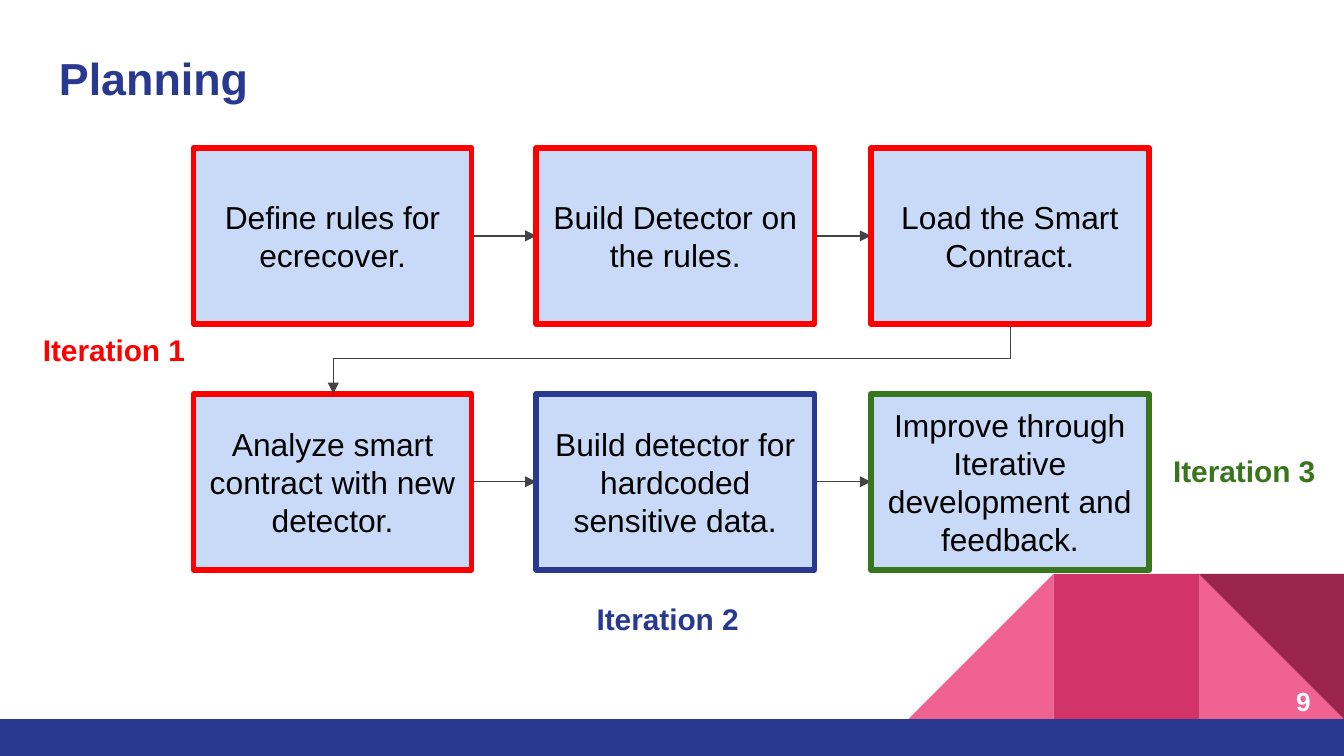
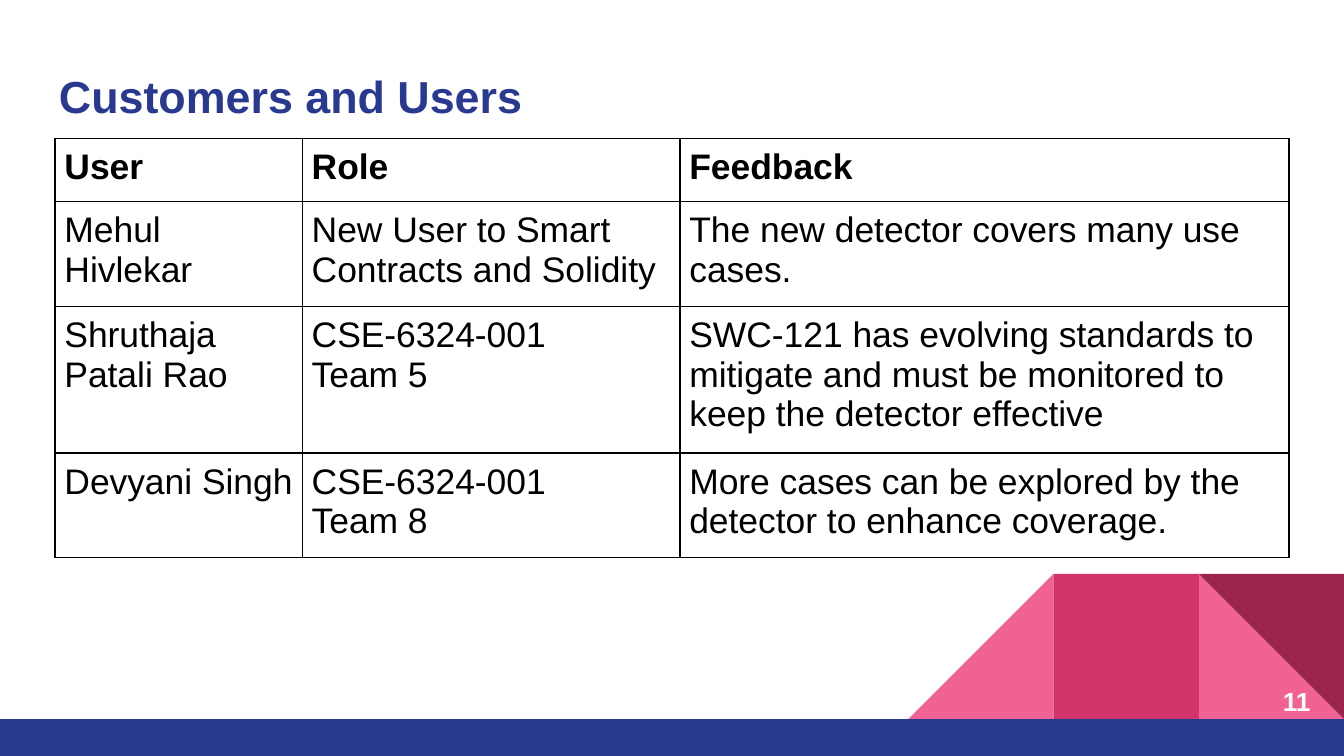
"""Build two slides: a planning flow chart and a customer feedback table."""
from dataclasses import dataclass

from lxml import etree
from pptx import Presentation
from pptx.dml.color import RGBColor
from pptx.enum.shapes import MSO_CONNECTOR, MSO_SHAPE
from pptx.enum.text import MSO_ANCHOR, PP_ALIGN
from pptx.oxml.ns import qn
from pptx.util import Inches, Pt

STRAIGHT, ELBOW = MSO_CONNECTOR.STRAIGHT, MSO_CONNECTOR.ELBOW
RECTANGLE, TRIANGLE = MSO_SHAPE.RECTANGLE, MSO_SHAPE.RIGHT_TRIANGLE
TOP, MIDDLE = MSO_ANCHOR.TOP, MSO_ANCHOR.MIDDLE
LEFT, CENTER, RIGHT = PP_ALIGN.LEFT, PP_ALIGN.CENTER, PP_ALIGN.RIGHT


@dataclass(frozen=True)
class Theme:
    font: str = "Arial"
    blue: str = "2A3990"
    pink: str = "F06292"
    rose: str = "D23369"
    wine: str = "9C254D"
    red: str = "FF0000"
    green: str = "38761D"
    pale: str = "C9DAF8"
    gray: str = "434343"
    black: str = "000000"
    white: str = "FFFFFF"
    title_size: int = 24
    table_size: int = 19
    box_size: int = 17
    label_size: int = 16
    number_size: int = 14


theme = Theme()


def write(frame, text, size, color, bold=False, align=LEFT, anchor=TOP, inset=0.1):
    frame.word_wrap = True
    frame.vertical_anchor = anchor
    frame.margin_left = frame.margin_right = Inches(inset)
    frame.margin_top = frame.margin_bottom = Inches(inset)
    frame.text = text
    for para in frame.paragraphs:
        para.alignment = align
        para.font.name = theme.font
        para.font.size = Pt(size)
        para.font.bold = bold
        para.font.color.rgb = RGBColor.from_string(color)


def add_arrow(page, kind, start, end):
    arrow = page.shapes.add_connector(kind, *map(Inches, start + end))
    arrow.line.color.rgb = RGBColor.from_string(theme.gray)
    arrow.line.width = Pt(0.75)
    properties = arrow.element.spPr
    etree.SubElement(properties.find(qn("a:ln")), qn("a:tailEnd"), type="triangle")
    etree.SubElement(properties, qn("a:effectLst"))
    return arrow


deck = Presentation()
deck.slide_width = Inches(10)
deck.slide_height = Inches(5.625)

SIDE = 1.08
DECOR = [
    (TRIANGLE, 10 - SIDE, 4.27, SIDE, SIDE, theme.pink, 0, False),
    (TRIANGLE, 10 - 3 * SIDE, 4.27, SIDE, SIDE, theme.pink, 0, True),
    (RECTANGLE, 10 - 2 * SIDE, 4.27, SIDE, SIDE, theme.rose, 0, False),
    (TRIANGLE, 10 - SIDE, 4.27, SIDE, SIDE, theme.wine, 180, False),
    (RECTANGLE, 0, 5.35, 10, 0.28, theme.blue, 0, False),
]
pages = []
for title, title_top, number in [("Planning", 0.28, "9"), ("Customers and Users", 0.41, "11")]:
    page = deck.slides.add_slide(deck.slide_layouts[6])
    pages.append(page)
    for kind, left, top, width, height, color, angle, flipped in DECOR:
        shape = page.shapes.add_shape(kind, *map(Inches, (left, top, width, height)))
        shape.shadow.inherit = False
        shape.fill.solid()
        shape.fill.fore_color.rgb = RGBColor.from_string(color)
        shape.line.fill.background()
        shape.rotation = angle
        if flipped:
            shape.element.spPr.find(qn("a:xfrm")).set("flipH", "1")
    box = page.shapes.add_textbox(*map(Inches, (0.34, title_top, 9.32, 0.66)))
    write(box.text_frame, title, theme.title_size, theme.blue, bold=True)
    box = page.shapes.add_textbox(*map(Inches, (9.25, 5, 0.6, 0.43)))
    write(box.text_frame, number, theme.number_size, theme.white, True, RIGHT, MIDDLE)

planning, customers = pages

BOX_WIDTH, BOX_HEIGHT = 2.07, 1.31
COLUMN_LEFTS = [1.44, 3.99, 6.48]
STEP_ROWS = [
    (1.1, [
        ("Define rules for ecrecover.", theme.red),
        ("Build Detector on the rules.", theme.red),
        ("Load the Smart Contract.", theme.red),
    ]),
    (2.93, [
        ("Analyze smart contract with new detector.", theme.red),
        ("Build detector for hardcoded sensitive data.", theme.blue),
        ("Improve through Iterative development and feedback.", theme.green),
    ]),
]
for top, steps in STEP_ROWS:
    middle = top + BOX_HEIGHT / 2
    for left, following in zip(COLUMN_LEFTS, COLUMN_LEFTS[1:]):
        add_arrow(planning, STRAIGHT, (left + BOX_WIDTH, middle), (following, middle))
    for left, (text, color) in zip(COLUMN_LEFTS, steps):
        box = planning.shapes.add_shape(
            RECTANGLE, *map(Inches, (left, top, BOX_WIDTH, BOX_HEIGHT)))
        box.shadow.inherit = False
        box.fill.solid()
        box.fill.fore_color.rgb = RGBColor.from_string(theme.pale)
        box.line.color.rgb = RGBColor.from_string(color)
        box.line.width = Pt(3)
        write(box.text_frame, text, theme.box_size, theme.black, False, CENTER, MIDDLE)

turn = add_arrow(planning, ELBOW, (4.74, 0.15), (5.26, 5.19))
turn.element.spPr.find(qn("a:xfrm")).set("rot", "5400000")

LABELS = [
    ("Iteration 1", 0.22, 2.37, theme.red),
    ("Iteration 2", 4.34, 4.37, theme.blue),
    ("Iteration 3", 8.63, 3.27, theme.green),
]
for text, left, top, color in LABELS:
    box = planning.shapes.add_textbox(*map(Inches, (left, top, 1.32, 0.47)))
    write(box.text_frame, text, theme.label_size, color, bold=True)

COLUMN_WIDTHS = [1.84, 2.81, 4.53]
ROW_HEIGHTS = [0.47, 0.78, 1.09, 0.78]
FEEDBACK = [
    ("User", "Role", "Feedback"),
    ("Mehul Hivlekar", "New User to Smart Contracts and Solidity",
     "The new detector covers many use cases."),
    ("Shruthaja Patali Rao", "CSE-6324-001\nTeam 5",
     "SWC-121 has evolving standards to mitigate and must be monitored "
     "to keep the detector effective"),
    ("Devyani Singh", "CSE-6324-001\nTeam 8",
     "More cases can be explored by the detector to enhance coverage."),
]
table = customers.shapes.add_table(
    len(FEEDBACK), len(COLUMN_WIDTHS),
    *map(Inches, (0.41, 1.03, sum(COLUMN_WIDTHS), sum(ROW_HEIGHTS)))).table
table.first_row = table.horz_banding = False
for column, width in zip(table.columns, COLUMN_WIDTHS):
    column.width = Inches(width)
for index, (row, height, texts) in enumerate(zip(table.rows, ROW_HEIGHTS, FEEDBACK)):
    row.height = Inches(height)
    for cell, text in zip(row.cells, texts):
        write(cell.text_frame, text, theme.table_size, theme.black, bold=index == 0)
        cell.margin_left = cell.margin_right = Inches(0.07)
        cell.margin_top = cell.margin_bottom = Inches(0.07)
        cell.vertical_anchor = TOP
        properties = cell._tc.get_or_add_tcPr()
        for edge in ("a:lnL", "a:lnR", "a:lnT", "a:lnB"):
            border = etree.SubElement(properties, qn(edge), w=str(Pt(1)))
            fill = etree.SubElement(border, qn("a:solidFill"))
            etree.SubElement(fill, qn("a:srgbClr"), val=theme.black)
        cell.fill.background()

deck.save("out.pptx")
